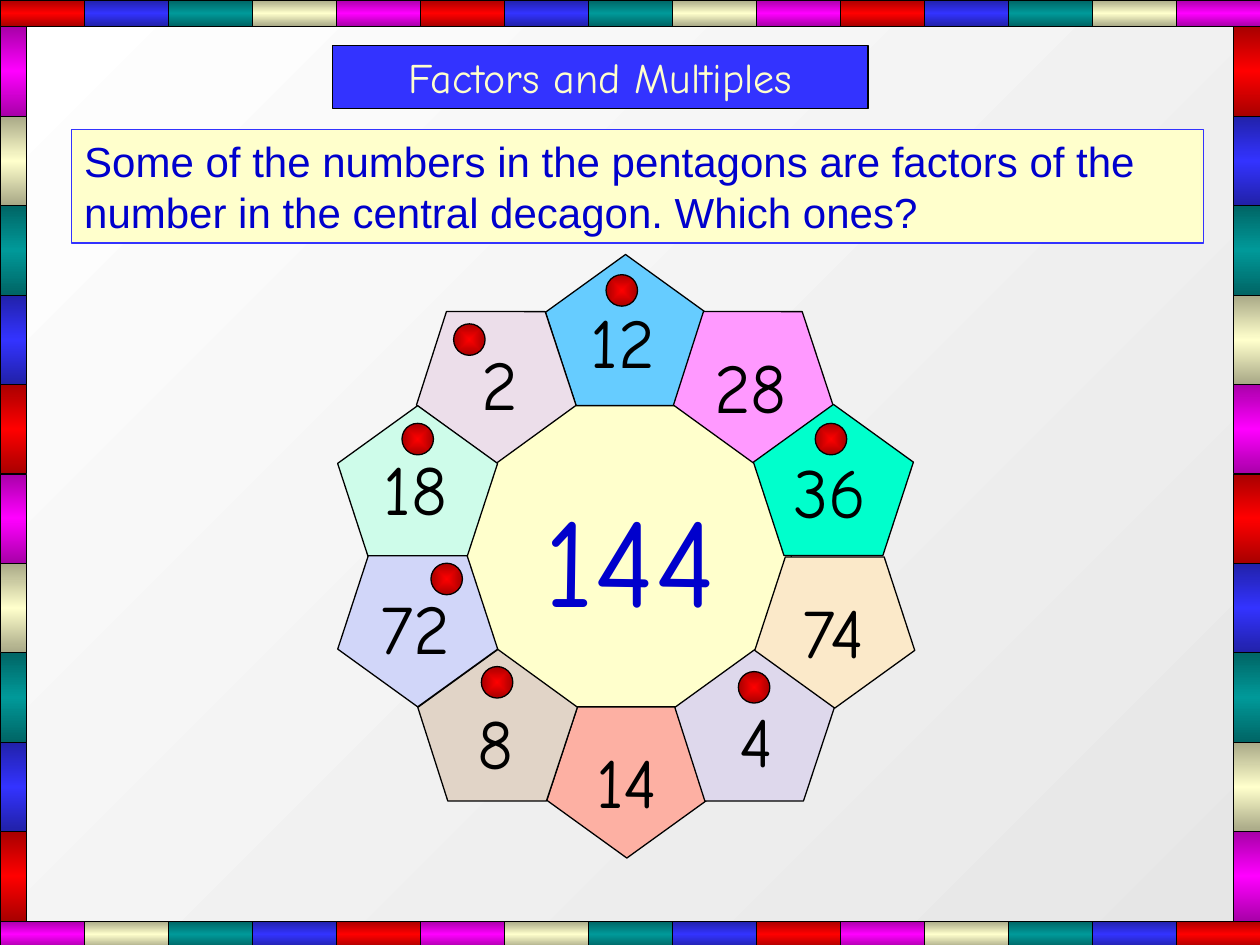
"""Build a factors and multiples puzzle: ten pentagons around a decagon."""
from copy import deepcopy

from pptx import Presentation
from pptx import util as u
from pptx.dml.color import RGBColor
from pptx.enum import shapes, text
from pptx.oxml import parse_xml
from pptx.oxml.ns import nsdecls, qn

BLACK = RGBColor(0x00, 0x00, 0x00)
WHITE = RGBColor(0xFF, 0xFF, 0xFF)
PALE_GREY = RGBColor(0xE6, 0xE6, 0xE6)
CREAM = RGBColor(0xFF, 0xFF, 0xCC)
BLUE = RGBColor(0x33, 0x33, 0xFF)
DEEP_BLUE = RGBColor(0x00, 0x00, 0xCC)
RED = RGBColor(0xFF, 0x00, 0x00)
DARK_RED = RGBColor(0xA8, 0x00, 0x00)
TILE_COLORS = [
    (DARK_RED, RED),
    (RGBColor(0x21, 0x21, 0xA8), BLUE),
    (RGBColor(0x00, 0x65, 0x65), RGBColor(0x00, 0x99, 0x99)),
    (RGBColor(0xA8, 0xA8, 0x86), CREAM),
    (RGBColor(0xA8, 0x00, 0xA8), RGBColor(0xFF, 0x00, 0xFF)),
]
SKY = RGBColor(0x66, 0xCC, 0xFF)
PINK = RGBColor(0xFF, 0x99, 0xFF)
MAUVE = RGBColor(0xEC, 0xDE, 0xEA)
TURQUOISE = RGBColor(0x00, 0xFF, 0xCC)
MINT = RGBColor(0xCE, 0xFC, 0xEA)
SALMON = RGBColor(0xFD, 0xB0, 0xA3)
LILAC = RGBColor(0xDE, 0xD8, 0xEC)
TAN = RGBColor(0xE1, 0xD4, 0xC7)
PEACH = RGBColor(0xFB, 0xE9, 0xC9)
PERIWINKLE = RGBColor(0xD1, 0xD6, 0xF9)

SLIDE_WIDTH, SLIDE_HEIGHT = 10, 7.5
BORDER = 0.21
COLUMNS, ROWS = 15, 10
ROW_HEIGHT = 0.71
HAND_FONT = "Comic Neue"
PENTAGON_SIZE = (1.27, 1.2)
LABEL_SIZE = (1.29, 0.77)
DOT_SIZE = (0.25, 0.25)

# number, color, pentagon position, rotation, label position, dot position
PENTAGONS = [
    ("12", SKY, (4.33, 2.02), 0, (4.3, 2.32), (4.81, 2.18)),
    ("28", PINK, (5.38, 2.36), 35.9, (5.31, 2.68), None),
    ("2", MAUVE, (3.34, 2.36), 35.9, (3.32, 2.65), (3.6, 2.57)),
    ("36", TURQUOISE, (5.98, 3.21), 0, (5.94, 3.51), (6.47, 3.36)),
    ("18", MINT, (2.68, 3.22), 0, (2.65, 3.49), (3.19, 3.36)),
    ("14", SALMON, (4.34, 5.61), 180, (4.33, 5.81), None),
    ("4", LILAC, (5.39, 5.27), 144.1, (5.36, 5.49), (5.86, 5.33)),
    ("8", TAN, (3.35, 5.27), 144.1, (3.29, 5.5), (3.82, 5.29)),
    ("74", PEACH, (5.99, 4.42), 180, (5.97, 4.62), None),
    ("72", PERIWINKLE, (2.68, 4.41), 180, (2.65, 4.59), (3.42, 4.47)),
]


def set_gradient(fill, holder, colors, angle):
    """Fill with evenly spaced gradient stops in the given colors."""
    fill.gradient()
    fill.gradient_angle = angle
    stop_list = holder.find(".//" + qn("a:gsLst"))
    for _ in colors[2:]:
        stop_list.append(deepcopy(stop_list[0]))
    for index, (stop, color) in enumerate(zip(fill.gradient_stops, colors)):
        stop.color.rgb = color
        stop.position = index / (len(colors) - 1)


def add_shape(slide, kind, position, size, color=None, line=BLACK, width=0.75):
    """Add a flat outlined preset shape, filled if a color is given."""
    shape = slide.shapes.add_shape(kind, *map(u.Inches, position + size))
    shape.shadow.inherit = False
    shape.line.color.rgb = line
    shape.line.width = u.Pt(width)
    if color is not None:
        shape.fill.solid()
        shape.fill.fore_color.rgb = color
    return shape


def write(shape, words, size, color, font=HAND_FONT, align=text.PP_ALIGN.CENTER):
    """Write one wrapped paragraph into a shape."""
    frame = shape.text_frame
    frame_format = {
        "word_wrap": True,
        "auto_size": text.MSO_AUTO_SIZE.SHAPE_TO_FIT_TEXT,
        "vertical_anchor": text.MSO_ANCHOR.TOP,
    }
    for name, value in frame_format.items():
        setattr(frame, name, value)
    paragraph = frame.paragraphs[0]
    paragraph.text = words
    paragraph.alignment = align
    for name, value in {"name": font, "size": u.Pt(size)}.items():
        setattr(paragraph.font, name, value)
    paragraph.font.color.rgb = color


def add_label(slide, words, position, size, points, color):
    """Add a centred number without a frame."""
    box = slide.shapes.add_textbox(*map(u.Inches, position + size))
    write(box, words, points, color)


def add_tile(slide, index, position, size):
    """Add one border tile, colored by its place in the cycle."""
    edge, middle = TILE_COLORS[index % len(TILE_COLORS)]
    tile = add_shape(slide, shapes.MSO_SHAPE.RECTANGLE, position, size, width=0.25)
    set_gradient(tile.fill, tile._element.spPr, [edge, middle, edge], 90)


def add_border(slide):
    """Frame the slide with tiles; opposite sides run in opposite order."""
    column_width = SLIDE_WIDTH / COLUMNS
    for index in range(COLUMNS):
        size = (column_width, BORDER)
        add_tile(slide, index, (index * column_width, 0), size)
        left = (COLUMNS - 1 - index) * column_width
        add_tile(slide, index, (left, 7.31), size)
    for index in range(ROWS):
        size = (BORDER, ROW_HEIGHT)
        add_tile(slide, index, (9.79, BORDER + index * ROW_HEIGHT), size)
        top = BORDER + (ROWS - 1 - index) * ROW_HEIGHT
        add_tile(slide, index, (0, top), size)


def add_dot(slide, position):
    """Add a red marker that darkens from its centre outwards."""
    dot = add_shape(slide, shapes.MSO_SHAPE.OVAL, position, DOT_SIZE)
    properties = dot._element.spPr
    set_gradient(dot.fill, properties, [RED, DARK_RED], 0)
    linear = properties.find(".//" + qn("a:lin"))
    linear.getparent().replace(linear, parse_xml(
        f'<a:path {nsdecls("a")} path="rect">'
        '<a:fillToRect l="50000" t="50000" r="50000" b="50000"/></a:path>'))


def add_puzzle(slide):
    """Add the pentagon ring, its numbers and the markers."""
    for _, color, position, rotation, _, _ in PENTAGONS:
        pentagon = add_shape(slide, shapes.MSO_SHAPE.REGULAR_PENTAGON,
                             position, PENTAGON_SIZE, color)
        pentagon.rotation = rotation
    add_label(slide, "144", (3.92, 3.77), (2.17, 1.3), 72, DEEP_BLUE)
    for number, _, _, _, position, _ in PENTAGONS:
        add_label(slide, number, position, LABEL_SIZE, 40, BLACK)
    for *_, position in PENTAGONS:
        if position:
            add_dot(slide, position)


def main():
    """Build and save the slide."""
    presentation = Presentation()
    presentation.slide_width = u.Inches(SLIDE_WIDTH)
    presentation.slide_height = u.Inches(SLIDE_HEIGHT)
    slide = presentation.slides.add_slide(presentation.slide_layouts[6])
    set_gradient(slide.background.fill, slide._element, [PALE_GREY, WHITE], 135)
    add_shape(slide, shapes.MSO_SHAPE.OVAL, (3.63, 3.1), (2.65, 2.65), CREAM)
    title = add_shape(slide, shapes.MSO_SHAPE.RECTANGLE, (2.64, 0.36), (4.25, 0.5), BLUE)
    write(title, "Factors and Multiples", 24, CREAM)
    add_border(slide)
    add_puzzle(slide)
    question = add_shape(slide, shapes.MSO_SHAPE.RECTANGLE,
                         (0.57, 1.03), (8.98, 0.9), CREAM, BLUE)
    write(question, "Some of the numbers in the pentagons are factors of the number "
          "in the central decagon. Which ones?", 24, DEEP_BLUE, "Arial", text.PP_ALIGN.LEFT)
    presentation.save("out.pptx")


if __name__ == "__main__":
    main()
